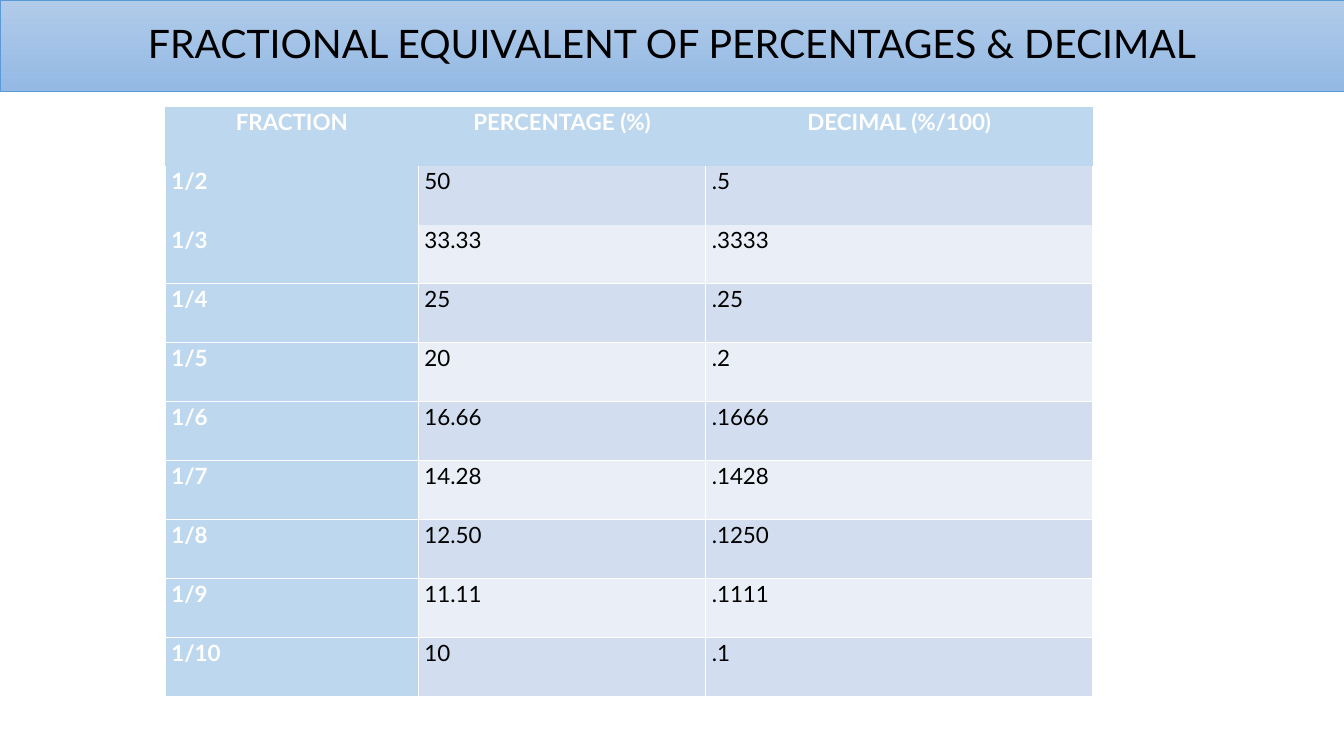
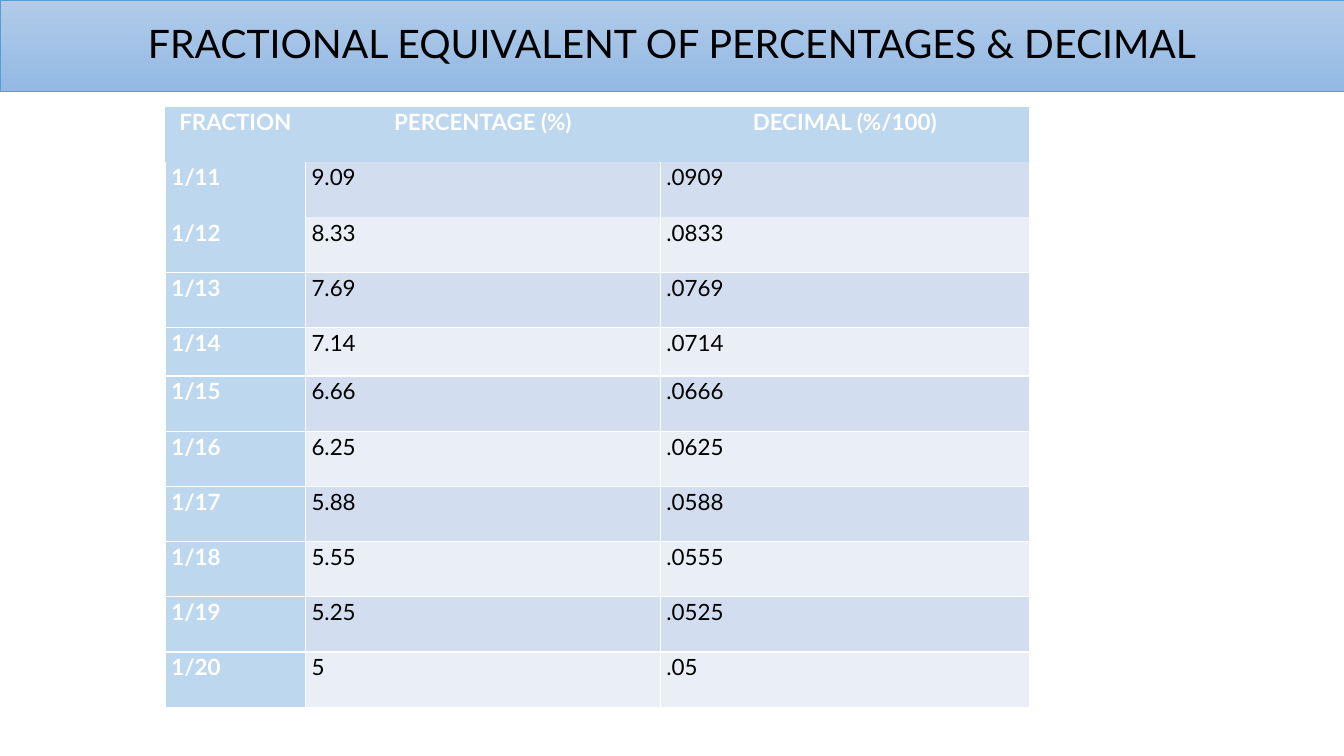
"""Build two slides of fraction, percentage and decimal equivalents."""
import pptx
import pptx.dml.color
import pptx.enum.shapes
import pptx.enum.text
import pptx.oxml
import pptx.oxml.ns
import pptx.util

Inches = pptx.util.Inches
Pt = pptx.util.Pt
ALIGN = pptx.enum.text.PP_ALIGN
ANCHOR = pptx.enum.text.MSO_ANCHOR

FONT = "Lato"
SLIDE_WIDTH, SLIDE_HEIGHT = 13.33, 7.5
BAND_HEIGHT = 0.91
TABLE_LEFT, TABLE_TOP = 1.64, 1.06
BLACK, WHITE = "000000", "FFFFFF"
BAND_TOP, BAND_BOTTOM, BAND_LINE = "B1CBE9", "93B9E4", "5B9BD5"
HEADING_FILL = "BDD7EE"
ROW_FILLS = ("EAEFF7", "D2DEEF")

TITLE = "FRACTIONAL EQUIVALENT OF PERCENTAGES & DECIMAL"
HEADERS = ("FRACTION", "PERCENTAGE (%)", "DECIMAL (%/100)")
TENTHS = (
    ("50", ".5"), ("33.33", ".3333"), ("25", ".25"),
    ("20", ".2"), ("16.66", ".1666"), ("14.28", ".1428"),
    ("12.50", ".1250"), ("11.11", ".1111"), ("10", ".1"),
)
TWENTIETHS = (
    ("9.09", ".0909"), ("8.33", ".0833"), ("7.69", ".0769"),
    ("7.14", ".0714"), ("6.66", ".0666"), ("6.25", ".0625"),
    ("5.88", ".0588"), ("5.55", ".0555"), ("5.25", ".0525"), ("5", ".05"),
)


def color(hex_value):
    return pptx.dml.color.RGBColor.from_string(hex_value)


def set_attributes(target, values):
    for name, value in values.items():
        setattr(target, name, value)


def write_text(text_frame, text, size, text_color, bold, alignment, spacing):
    paragraph = text_frame.paragraphs[0]
    run = paragraph.add_run()
    run.text = text
    set_attributes(paragraph, {"alignment": alignment, "line_spacing": spacing})
    set_attributes(run.font, {"name": FONT, "size": Pt(size), "bold": bold})
    run.font.color.rgb = color(text_color)


def add_title_band(slide):
    band = slide.shapes.add_shape(
        pptx.enum.shapes.MSO_SHAPE.RECTANGLE,
        0, 0, Inches(SLIDE_WIDTH), Inches(BAND_HEIGHT))
    band.shadow.inherit = False
    band.fill.gradient()
    band.fill.gradient_angle = 270
    for stop, hex_value in zip(band.fill.gradient_stops, (BAND_TOP, BAND_BOTTOM)):
        stop.color.rgb = color(hex_value)
    band.line.color.rgb = color(BAND_LINE)
    band.line.width = Pt(0.5)
    set_attributes(band.text_frame, {
        "word_wrap": True, "vertical_anchor": ANCHOR.MIDDLE})
    write_text(band.text_frame, TITLE, 28, BLACK, False, ALIGN.CENTER, 0.9)


def set_borders(cell, visible_sides):
    namespace = pptx.oxml.ns.nsdecls("a")
    properties = cell._tc.get_or_add_tcPr()
    for side in "LRTB":
        if side in visible_sides:
            paint = f'<a:solidFill><a:srgbClr val="{WHITE}"/></a:solidFill>'
        else:
            paint = "<a:noFill/>"
        properties.append(pptx.oxml.parse_xml(
            f'<a:ln{side} {namespace} w="{Pt(1)}">{paint}</a:ln{side}>'))


def visible_borders(row_index):
    return {0: "", 1: "LR", 2: "LRB"}.get(row_index, "LRTB")


def format_cell(cell, text, row_index, column_index):
    is_header = row_index == 0
    is_heading = is_header or column_index == 0
    set_attributes(cell, {
        "margin_left": Inches(0.06), "margin_right": Inches(0.06),
        "margin_top": 0, "margin_bottom": 0, "vertical_anchor": ANCHOR.TOP})
    set_borders(cell, visible_borders(row_index))
    cell.fill.solid()
    cell.fill.fore_color.rgb = color(
        HEADING_FILL if is_heading else ROW_FILLS[row_index % 2])
    write_text(cell.text_frame, text, 16, WHITE if is_heading else BLACK,
               is_heading, ALIGN.CENTER if is_header else ALIGN.LEFT, 1.07)


def add_equivalents_table(slide, first_denominator, values, widths, heights):
    rows = [HEADERS] + [
        (f"1/{denominator}", *pair)
        for denominator, pair in enumerate(values, first_denominator)]
    table = slide.shapes.add_table(
        len(rows), len(HEADERS), Inches(TABLE_LEFT), Inches(TABLE_TOP),
        Inches(sum(widths)), Inches(sum(heights))).table
    table.horz_banding = False
    table.first_col = True
    for column, width in zip(table.columns, widths):
        column.width = Inches(width)
    for row, height in zip(table.rows, heights):
        row.height = Inches(height)
    for row_index, texts in enumerate(rows):
        for column_index, text in enumerate(texts):
            format_cell(table.cell(row_index, column_index), text,
                        row_index, column_index)


def main():
    presentation = pptx.Presentation()
    set_attributes(presentation, {
        "slide_width": Inches(SLIDE_WIDTH), "slide_height": Inches(SLIDE_HEIGHT)})
    tables = (
        (2, TENTHS, (2.51, 2.85, 3.84), [5.85 / 10] * 10),
        (11, TWENTIETHS, (1.39, 3.52, 3.66),
         [5.48 / 10] * 4 + [0.48] + [5.48 / 10] * 6),
    )
    for table_values in tables:
        slide = presentation.slides.add_slide(presentation.slide_layouts[6])
        add_title_band(slide)
        add_equivalents_table(slide, *table_values)
    presentation.save("out.pptx")


if __name__ == "__main__":
    main()
